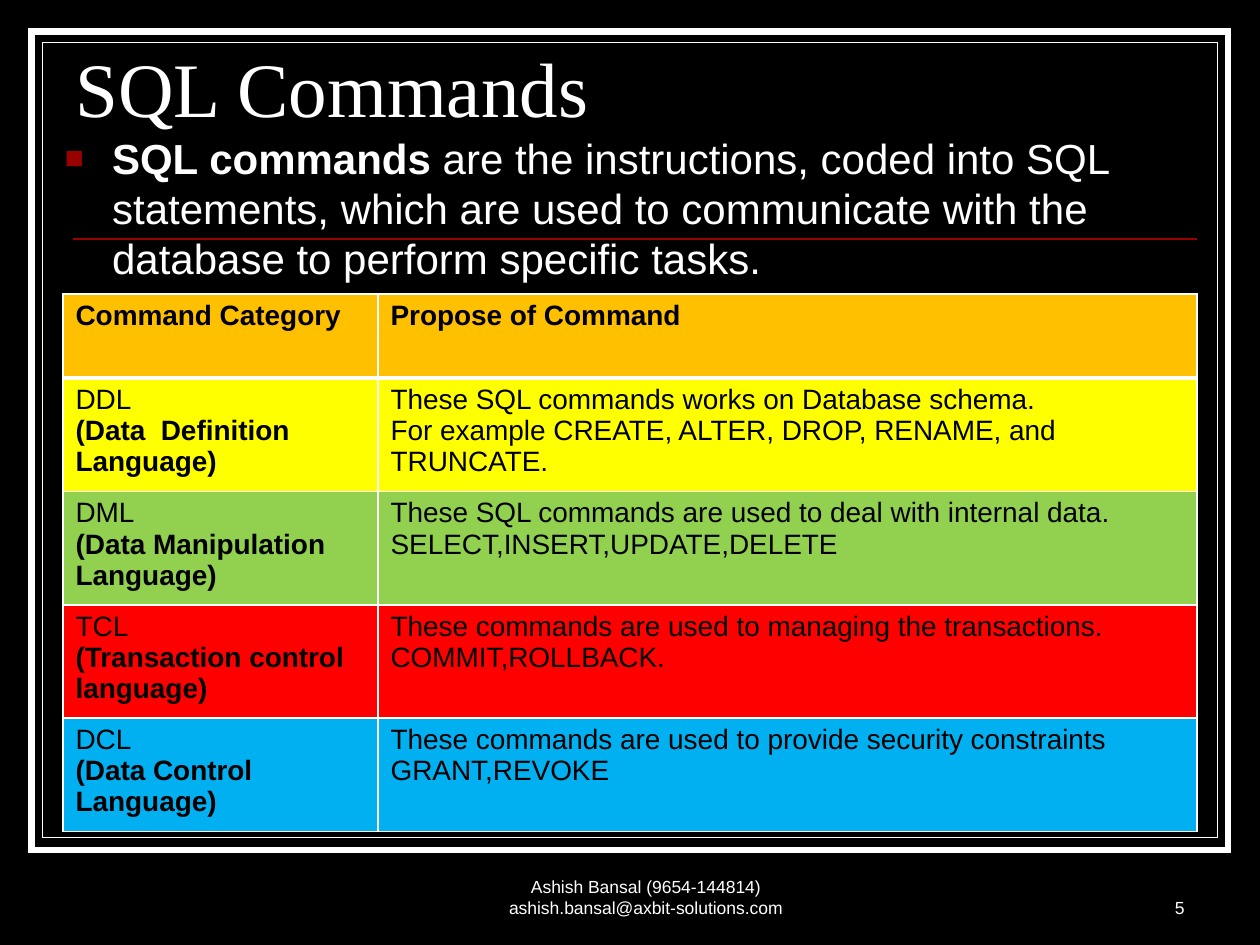
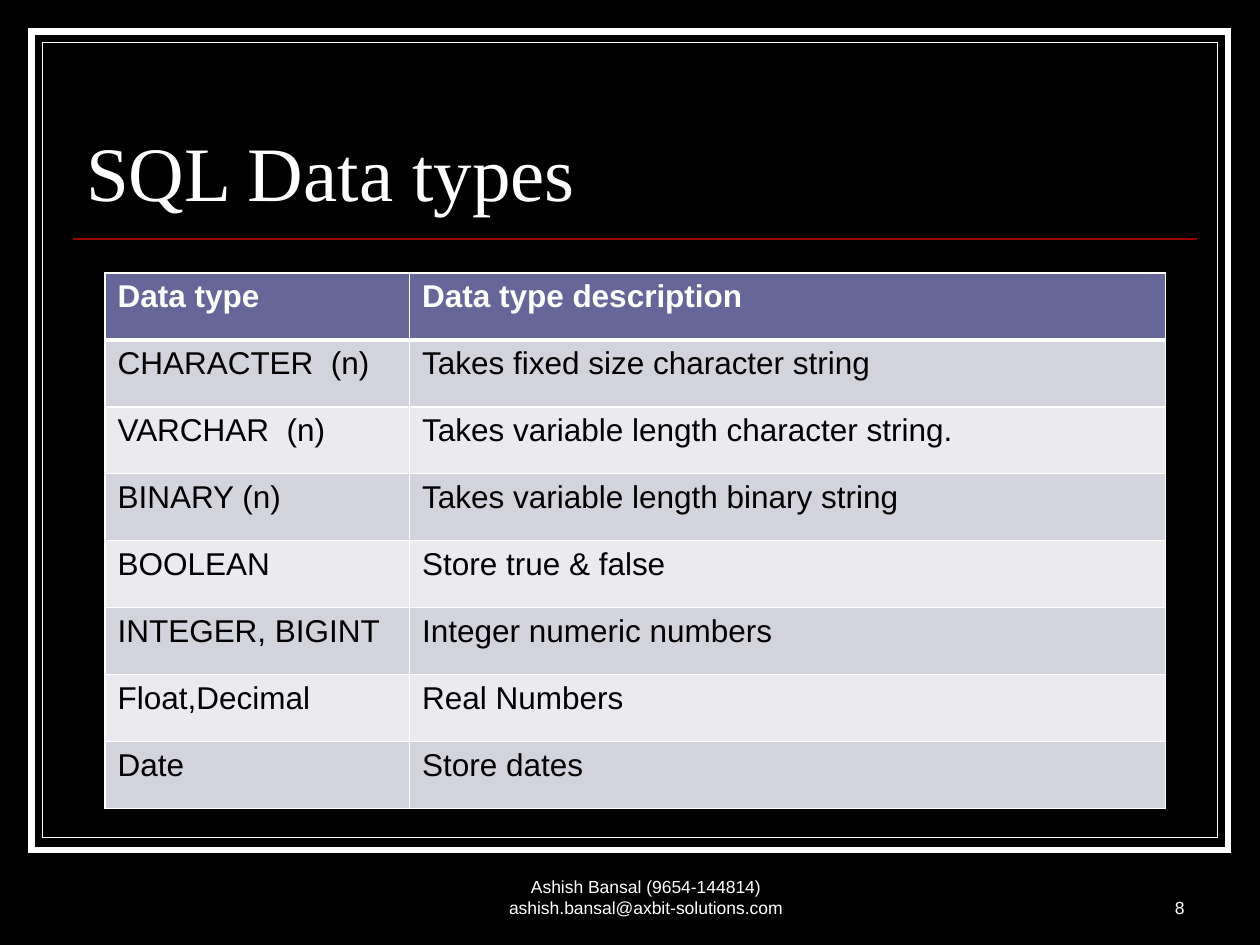
from lxml import etree
from pptx import Presentation
from pptx.dml.color import RGBColor
from pptx.enum import shapes, text
from pptx.oxml import parse_xml
from pptx.oxml.ns import nsdecls, qn
from pptx.util import Pt

BLACK = RGBColor(0x00, 0x00, 0x00)
WHITE = RGBColor(0xFF, 0xFF, 0xFF)
RULE_RED = RGBColor(0x99, 0x00, 0x00)
ORANGE = RGBColor(0xFF, 0xC0, 0x00)
YELLOW = RGBColor(0xFF, 0xFF, 0x00)
GREEN = RGBColor(0x92, 0xD0, 0x50)
RED = RGBColor(0xFF, 0x00, 0x00)
BLUE = RGBColor(0x00, 0xB0, 0xF0)
SLATE = RGBColor(0x66, 0x66, 0x99)
BAND_DARK = RGBColor(0xD3, 0xD3, 0xDE)
BAND_LIGHT = RGBColor(0xEA, 0xEA, 0xEF)

FOOTER = "Ashish Bansal (9654-144814) ashish.bansal@axbit-solutions.com"
# left, top, width, height, line width
FRAMES = [(18, 18, 684, 468, 3.5), (24.25, 24.25, 671.5, 454.25, 0.75)]

# Each table cell is a list of paragraphs.
COMMANDS = [
    (["Command Category"], ["Propose of Command"]),
    (["DDL", "(Data  Definition Language)"],
     ["These SQL commands works on Database schema.\n"
      "For example CREATE, ALTER, DROP, RENAME, and TRUNCATE."]),
    (["DML", "(Data Manipulation\nLanguage)"],
     ["These SQL commands are used to deal with internal data.\n"
      "SELECT,INSERT,UPDATE,DELETE"]),
    (["TCL", "(Transaction control\nlanguage)"],
     ["These commands are used to managing the transactions.",
      "COMMIT,ROLLBACK."]),
    (["DCL", "(Data Control Language)"],
     ["These commands are used to provide security constraints ",
      "GRANT,REVOKE"]),
]
DATA_TYPES = [
    (["Data type"], ["Data type description "]),
    (["CHARACTER  (n)"], ["Takes fixed size character string"]),
    (["VARCHAR  (n)"], ["Takes variable length character string."]),
    (["BINARY (n)"], ["Takes variable length binary string"]),
    (["BOOLEAN"], ["Store true & false"]),
    (["INTEGER, BIGINT"], ["Integer numeric numbers"]),
    (["Float,Decimal"], ["Real Numbers"]),
    (["Date "], ["Store dates"]),
]
SLIDES = [
    dict(title="SQL Commands", title_box=(36, 30, 642, 49), number="5",
         body=[("SQL commands", True),
               ("\u00a0are the instructions, coded into SQL statements, which are "
                "used to communicate with the database to perform specific tasks.",
                False)],
         rows=COMMANDS, origin=(36, 168), widths=(180, 468),
         heights=[48] + [64.55] * 4, size=16, head_color=BLACK,
         fills=[ORANGE, YELLOW, GREEN, RED, BLUE]),
    dict(title="SQL Data types", title_box=(42, 37.5, 642, 90), number="8",
         body=[], rows=DATA_TYPES, origin=(60, 156), widths=(174, 432),
         heights=[38.25] * 8, size=18, head_color=WHITE,
         fills=[SLATE] + [BAND_DARK, BAND_LIGHT] * 3 + [BAND_DARK]),
]


def add_text(p, content, size, color=WHITE, bold=False, font="Arial"):
    """Add formatted runs to a paragraph, with a line break at each newline."""
    for i, line in enumerate(content.split("\n")):
        if i:
            p.add_line_break()
        r = p.add_run()
        r.text = line
        r.font.name, r.font.size, r.font.bold = font, Pt(size), bold
        r.font.color.rgb = color


def add_box(s, box, anchor, align):
    """Add a wrapping text box and return its first paragraph."""
    tf = s.shapes.add_textbox(*map(Pt, box)).text_frame
    tf.word_wrap = True
    tf.vertical_anchor = anchor
    p = tf.paragraphs[0]
    p.alignment = align
    return p


prs = Presentation()
prs.slide_width, prs.slide_height = Pt(720), Pt(540)
fill = prs.slide_master.background.fill
fill.solid()
fill.fore_color.rgb = BLACK

for page in SLIDES:
    s = prs.slides.add_slide(prs.slide_layouts[5])

    # Double frame with square corners, and red rule
    for *box, weight in FRAMES:
        sp = s.shapes.add_shape(shapes.MSO_SHAPE.RECTANGLE, *map(Pt, box))
        sp.shadow.inherit = False
        sp.fill.solid()
        sp.fill.fore_color.rgb = BLACK
        sp.line.color.rgb = WHITE
        sp.line.width = Pt(weight)
        outline = sp.element.spPr.find(qn("a:ln"))
        etree.SubElement(outline, qn("a:miter")).set("lim", "800000")
    rule = s.shapes.add_connector(shapes.MSO_CONNECTOR.STRAIGHT,
                                  Pt(42), Pt(136.5), Pt(684), Pt(136.5))
    rule.line.color.rgb = RULE_RED
    rule.line.width = Pt(1)
    etree.SubElement(rule.element.spPr, qn("a:effectLst"))

    # Title, brought in front of the frame
    title = s.shapes.title
    title.left, title.top, title.width, title.height = map(Pt, page["title_box"])
    title.element.getparent().append(title.element)
    tf = title.text_frame
    tf.auto_size = text.MSO_AUTO_SIZE.NONE
    tf.word_wrap = True
    tf.vertical_anchor = text.MSO_ANCHOR.BOTTOM
    p = tf.paragraphs[0]
    p.alignment = text.PP_ALIGN.LEFT
    p.line_spacing = 0.8
    add_text(p, page["title"], 44, font="Times New Roman")

    # Bulleted definition
    if page["body"]:
        p = add_box(s, (30, 72, 642, 108), text.MSO_ANCHOR.TOP, text.PP_ALIGN.LEFT)
        p.space_before = Pt(4.8)
        pPr = p._p.get_or_add_pPr()
        pPr.set("marL", str(Pt(27)))
        pPr.set("indent", str(-Pt(27)))
        for bullet in (f'<a:buClr {nsdecls("a")}><a:srgbClr val="{RULE_RED}"/></a:buClr>',
                       f'<a:buSzPct {nsdecls("a")} val="75000"/>',
                       f'<a:buFont {nsdecls("a")} typeface="Arial"/>',
                       f'<a:buChar {nsdecls("a")} char="\u25a0"/>'):
            pPr.append(parse_xml(bullet))
        for content, bold in page["body"]:
            add_text(p, content, 24, bold=bold)

    # Footer and slide number
    for box, align, content in (
            ((255, 492, 228, 36), text.PP_ALIGN.CENTER, FOOTER),
            ((534, 492, 150, 36), text.PP_ALIGN.RIGHT, page["number"])):
        add_text(add_box(s, box, text.MSO_ANCHOR.BOTTOM, align), content, 10)

    # Table
    rows, widths, heights = page["rows"], page["widths"], page["heights"]
    size = sum(widths), sum(heights)
    table = s.shapes.add_table(len(rows), len(widths),
                               *map(Pt, page["origin"] + size)).table
    table.horz_banding = False
    for column, width in zip(table.columns, widths):
        column.width = Pt(width)
    for i, row in enumerate(rows):
        table.rows[i].height = Pt(heights[i])
        for j, paragraphs in enumerate(row):
            cell = table.cell(i, j)
            tcPr = cell._tc.get_or_add_tcPr()
            for side in "LRTB":
                heavy = (i, side) in ((0, "B"), (1, "T"))
                tcPr.append(parse_xml(
                    f'<a:ln{side} {nsdecls("a")} w="{Pt(3 if heavy else 1)}"><a:solidFill>'
                    f'<a:srgbClr val="{WHITE}"/></a:solidFill></a:ln{side}>'))
            cell.fill.solid()
            cell.fill.fore_color.rgb = page["fills"][i]
            tf = cell.text_frame
            for k, content in enumerate(paragraphs):
                p = tf.add_paragraph() if k else tf.paragraphs[0]
                add_text(p, content, page["size"],
                         BLACK if i else page["head_color"],
                         bold=i == 0 or (j == 0 and k == 1))

prs.save("out.pptx")
